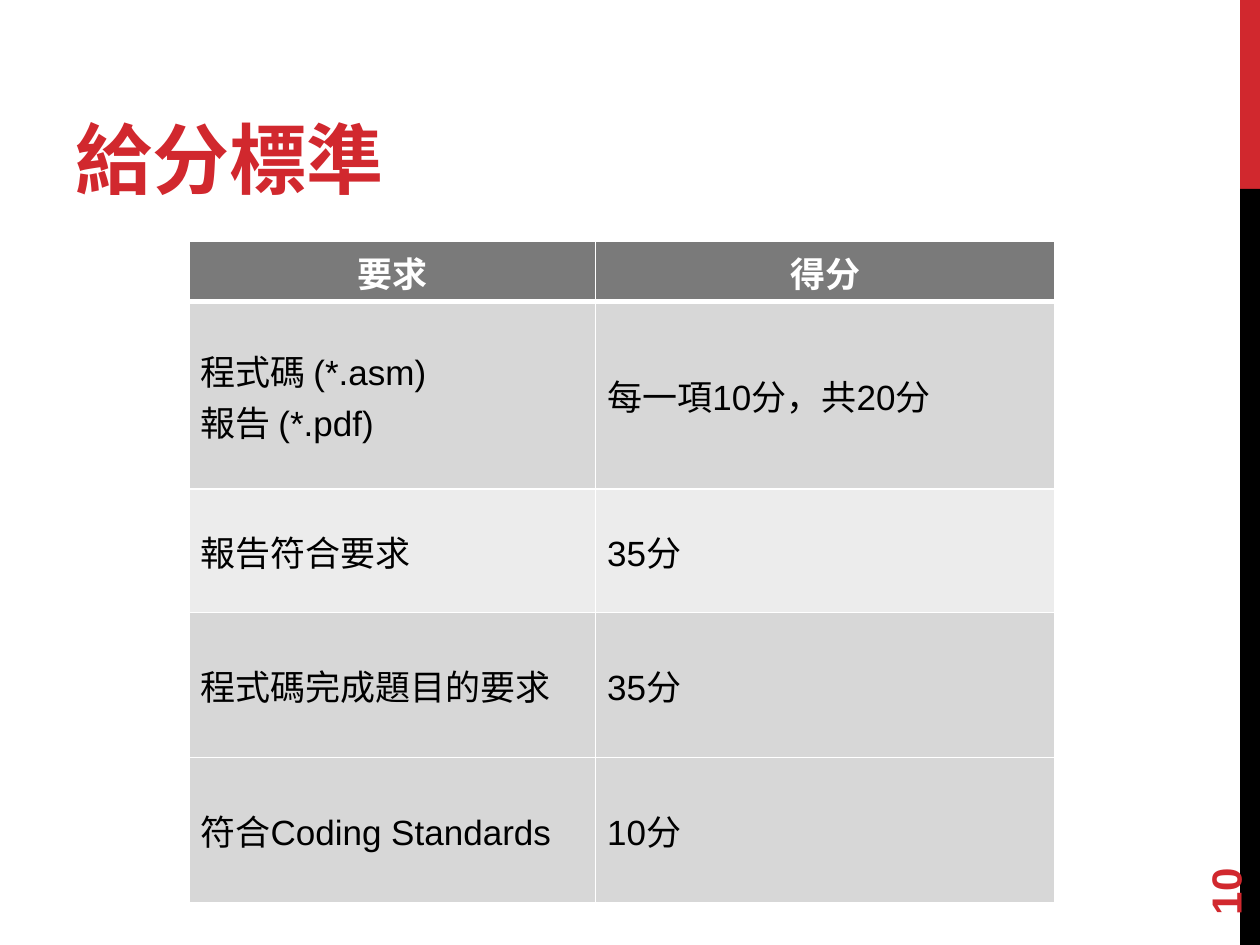
import dataclasses

import lxml.etree
import pptx
import pptx.dml.color
import pptx.enum.shapes
import pptx.enum.text
import pptx.oxml.ns
import pptx.util

Cm = pptx.util.Cm
Pt = pptx.util.Pt
Align = pptx.enum.text.PP_ALIGN
Anchor = pptx.enum.text.MSO_ANCHOR


@dataclasses.dataclass(frozen=True)
class Theme:
    accent: str = "D1282E"
    black: str = "000000"
    white: str = "FFFFFF"
    header: str = "7A7A7A"
    band_dark: str = "D7D7D7"
    band_light: str = "ECECEC"
    title_font: str = "Montserrat"
    body_font: str = "Arial"
    title_size: int = 44
    number_size: int = 24
    table_size: int = 20
    thin_line: int = 1
    thick_line: int = 3


@dataclasses.dataclass(frozen=True)
class Box:
    left: float
    top: float
    width: float
    height: float

    def lengths(self):
        return Cm(self.left), Cm(self.top), Cm(self.width), Cm(self.height)


THEME = Theme()
SLIDE = Box(0, 0, 25.4, 19.05)
ROWS = [
    ("要求", "得分"),
    ("程式碼 (*.asm)\n報告 (*.pdf)", "每一項10分，共20分"),
    ("報告符合要求", "35分"),
    ("程式碼完成題目的要求", "35分"),
    ("符合Coding Standards", "10分"),
]
ROW_HEIGHTS = [1.22, 3.78, 2.49, 2.92, 2.92]
ROW_FILLS = [THEME.header, THEME.band_dark, THEME.band_light,
             THEME.band_dark, THEME.band_dark]
COLUMN_WIDTHS = [8.2, 9.25]


def rgb(value):
    return pptx.dml.color.RGBColor.from_string(value)


def write_text(frame, text, *, size, color, font=THEME.body_font, bold=False,
               align=Align.LEFT):
    """Fill a text frame, one paragraph for each line of text."""
    for index, line in enumerate(text.split("\n")):
        paragraph = frame.paragraphs[0] if index == 0 else frame.add_paragraph()
        paragraph.alignment = align
        run = paragraph.add_run()
        run.text = line
        run.font.name = font
        run.font.size = Pt(size)
        run.font.bold = bold
        run.font.color.rgb = rgb(color)


def set_borders(cell, **widths):
    """Draw white cell borders; widths are in points, keyed by side L, R, T, B."""
    properties = cell._tc.get_or_add_tcPr()
    for index, side in enumerate("LRTB"):
        line = lxml.etree.Element(pptx.oxml.ns.qn(f"a:ln{side}"),
                                  w=str(Pt(widths.get(side, THEME.thin_line))))
        fill = lxml.etree.SubElement(line, pptx.oxml.ns.qn("a:solidFill"))
        lxml.etree.SubElement(fill, pptx.oxml.ns.qn("a:srgbClr"), val=THEME.white)
        properties.insert(index, line)


def add_side_bar(slide, box):
    # Red upper fifth, black remainder
    red_height = box.height / 5
    parts = [(box.top, red_height, THEME.accent),
             (box.top + red_height, box.height - red_height, THEME.black)]
    for top, height, color in parts:
        part = Box(box.left, top, box.width, height)
        bar = slide.shapes.add_shape(
            pptx.enum.shapes.MSO_SHAPE.RECTANGLE, *part.lengths())
        bar.shadow.inherit = False
        bar.fill.solid()
        bar.fill.fore_color.rgb = rgb(color)
        bar.line.fill.background()


def add_title(slide, box, text):
    title = slide.shapes.title
    title.left, title.top, title.width, title.height = box.lengths()
    frame = title.text_frame
    frame.auto_size = pptx.enum.text.MSO_AUTO_SIZE.NONE
    frame.vertical_anchor = Anchor.BOTTOM
    write_text(frame, text, size=THEME.title_size, color=THEME.accent,
               font=THEME.title_font, bold=True)


def add_page_number(slide, box, text):
    number = slide.shapes.add_textbox(*box.lengths())
    number.rotation = 270
    frame = number.text_frame
    frame.word_wrap = True
    frame.vertical_anchor = Anchor.MIDDLE
    write_text(frame, text, size=THEME.number_size, color=THEME.accent, bold=True)


def add_score_table(slide, box):
    table = slide.shapes.add_table(
        len(ROWS), len(COLUMN_WIDTHS), *box.lengths()).table
    for column, width in zip(table.columns, COLUMN_WIDTHS):
        column.width = Cm(width)
    for row_index, texts in enumerate(ROWS):
        is_header = row_index == 0
        table.rows[row_index].height = Cm(ROW_HEIGHTS[row_index])
        for column_index, text in enumerate(texts):
            cell = table.cell(row_index, column_index)
            cell.fill.solid()
            cell.fill.fore_color.rgb = rgb(ROW_FILLS[row_index])
            cell.margin_left = cell.margin_right = Cm(0.23)
            cell.margin_top = cell.margin_bottom = Cm(0.11)
            cell.vertical_anchor = Anchor.TOP if is_header else Anchor.MIDDLE
            write_text(cell.text_frame, text, size=THEME.table_size,
                       color=THEME.white if is_header else THEME.black,
                       bold=is_header,
                       align=Align.CENTER if is_header else Align.LEFT)
            # Thick rule between the header and the first row
            set_borders(cell,
                        T=THEME.thick_line if row_index == 1 else THEME.thin_line,
                        B=THEME.thick_line if is_header else THEME.thin_line)


def main():
    presentation = pptx.Presentation()
    presentation.slide_width = Cm(SLIDE.width)
    presentation.slide_height = Cm(SLIDE.height)
    slide = presentation.slides.add_slide(presentation.slide_layouts[5])

    bar_width = 0.4
    add_side_bar(slide, Box(SLIDE.width - bar_width, 0, bar_width, SLIDE.height))
    add_title(slide, Box(1.27, 0.43, 16.08, 3.81), "給分標準")
    add_page_number(slide, Box(22.86, 16.36, 3.66, 1.02), "10")
    add_score_table(slide, Box(3.81, 4.86, sum(COLUMN_WIDTHS), sum(ROW_HEIGHTS)))

    presentation.save("out.pptx")


if __name__ == "__main__":
    main()
